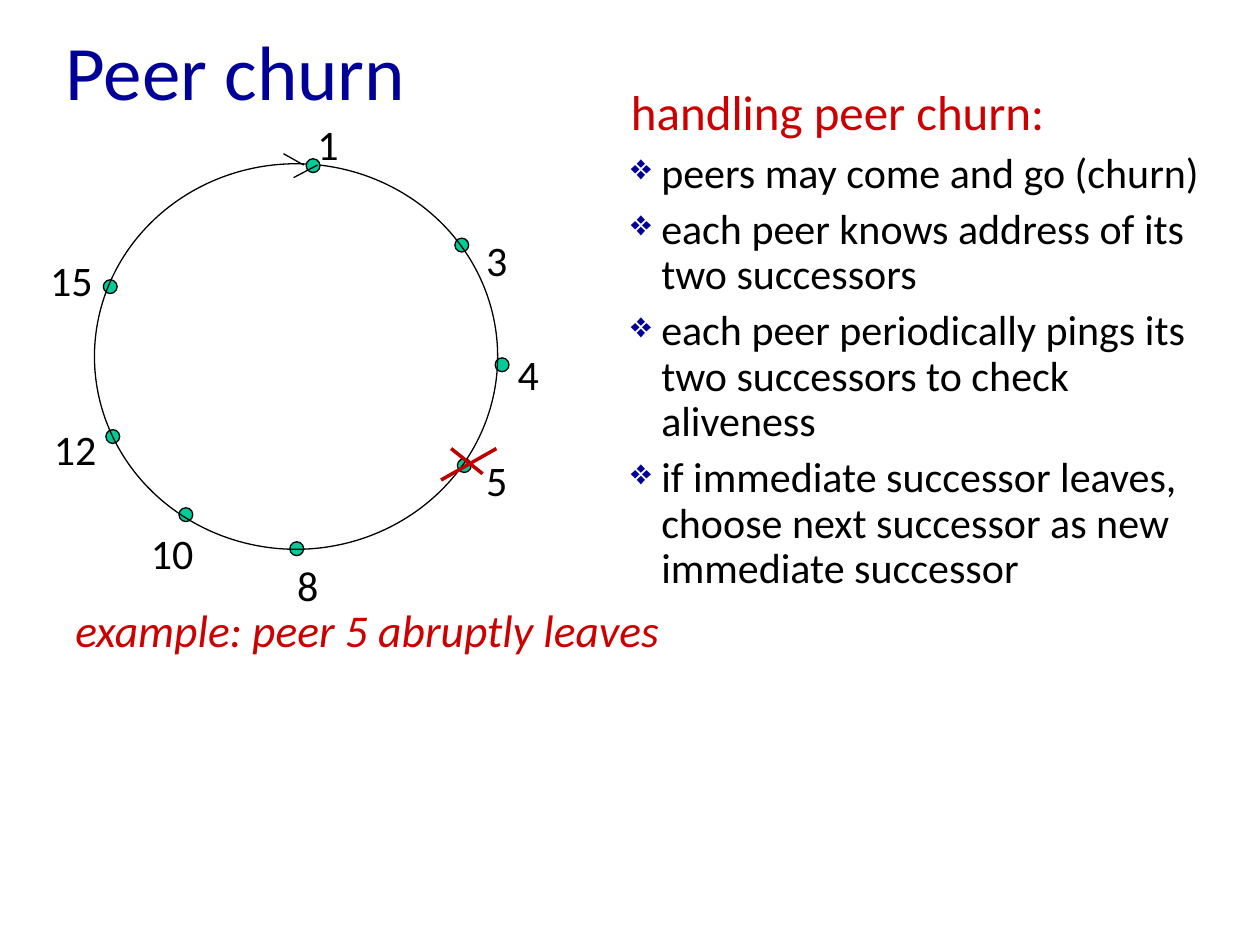
from lxml.etree import SubElement
from pptx import Presentation
from pptx.dml.color import RGBColor
from pptx.enum.shapes import MSO_CONNECTOR, MSO_SHAPE
from pptx.enum.text import MSO_ANCHOR, MSO_AUTO_SIZE, PP_ALIGN
from pptx.oxml.ns import qn
from pptx.util import Inches, Pt

rgb = RGBColor.from_string
NAVY, RED, CROSS_RED, GREEN, BLACK = "000099", "CC0000", "C00000", "00CC99", "000000"


def add_styled_run(paragraph, text, size, color, italic=False):
    run = paragraph.add_run()
    run.text = text
    run.font.name = "Calibri"
    run.font.size = Pt(size)
    run.font.italic = italic
    run.font.color.rgb = rgb(color)


def add_oval(left, top, width, height, fill=None):
    oval = slide.shapes.add_shape(
        MSO_SHAPE.OVAL, Inches(left), Inches(top), Inches(width), Inches(height))
    oval.shadow.inherit = False
    if fill:
        oval.fill.solid()
        oval.fill.fore_color.rgb = rgb(fill)
    else:
        oval.fill.background()
    oval.line.color.rgb = rgb(BLACK)
    oval.line.width = Pt(0.75)


prs = Presentation()
prs.slide_width, prs.slide_height = Inches(10), Inches(7.5)
slide = prs.slides.add_slide(prs.slide_layouts[5])

title = slide.shapes.title
title.left, title.top = Inches(0.42), Inches(0)
title.width, title.height = Inches(9), Inches(1.11)
title.text_frame.vertical_anchor = MSO_ANCHOR.MIDDLE
heading = title.text_frame.paragraphs[0]
heading.alignment = PP_ALIGN.LEFT
add_styled_run(heading, "Peer churn", 44, NAVY)

example = slide.shapes.add_textbox(Inches(0.5), Inches(4.78), Inches(9), Inches(2.33))
example.text_frame.word_wrap = True
caption = example.text_frame.paragraphs[0]
caption.line_spacing = 0.9
caption.space_before = Pt(6.5)
add_styled_run(caption, "example: peer 5 abruptly leaves", 26, RED, italic=True)

# Peer number: node left and top, label left and top
peers = {
    "3": (3.61, 1.89, 3.76, 1.81),
    "4": (3.93, 2.84, 4.01, 2.72),
    "5": (3.63, 3.64, 3.76, 3.56),
    "8": (2.3, 4.3, 2.26, 4.39),
    "10": (1.42, 4.03, 1.1, 4.14),
    "12": (0.84, 3.41, 0.33, 3.31),
    "15": (0.82, 2.22, 0.3, 1.97),
    "1": (2.43, 1.26, 2.42, 0.89),
}
for number, (node_left, node_top, label_left, label_top) in peers.items():
    if number == "1":  # the first peer sits on top of the ring
        add_oval(0.75, 1.3, 3.2, 3.06)
    add_oval(node_left, node_top, 0.11, 0.11, GREEN)
    label = slide.shapes.add_textbox(
        Inches(label_left), Inches(label_top),
        Inches(0.2 + 0.17 * len(number)), Inches(0.5))
    label.text_frame.word_wrap = False
    label.text_frame.auto_size = MSO_AUTO_SIZE.SHAPE_TO_FIT_TEXT
    label.text_frame.paragraphs[0].space_before = Pt(6)
    add_styled_run(label.text_frame.paragraphs[0], number, 24, BLACK)

# Direction arrowhead at peer 1, then the cross over peer 5
strokes = [
    (2.25, 1.22, 2.41, 1.31, BLACK, 0.75),
    (2.52, 1.31, 2.33, 1.41, BLACK, 0.75),
    (3.58, 3.56, 3.83, 3.76, CROSS_RED, 2),
    (3.94, 3.56, 3.5, 3.81, CROSS_RED, 2),
]
for x1, y1, x2, y2, color, weight in strokes:
    stroke = slide.shapes.add_connector(
        MSO_CONNECTOR.STRAIGHT, Inches(x1), Inches(y1), Inches(x2), Inches(y2))
    stroke.line.color.rgb = rgb(color)
    stroke.line.width = Pt(weight)
    SubElement(stroke._element.spPr, qn("a:effectLst"))

handling = slide.shapes.add_textbox(Inches(4.91), Inches(0.6), Inches(4.84), Inches(5.72))
handling.text_frame.word_wrap = True
handling_title = handling.text_frame.paragraphs[0]
handling_title.space_before = Pt(7)
add_styled_run(handling_title, "handling peer churn:", 28, RED)

rules = [
    ["peers may come and go (churn)"],
    ["each peer knows address of its two successors"],
    ["each peer periodically pings its ", "two successors to check aliveness"],
    ["if immediate successor leaves, choose next successor as new immediate successor"],
]
for lines in rules:
    rule = handling.text_frame.add_paragraph()
    rule.line_spacing = Pt(26)
    rule.space_before = Pt(6)
    props = rule._p.get_or_add_pPr()
    props.set("marL", str(Inches(0.24)))
    props.set("indent", str(-Inches(0.24)))
    bullet_color = SubElement(props, qn("a:buClr"))
    SubElement(bullet_color, qn("a:srgbClr"), val=NAVY)
    SubElement(props, qn("a:buSzPct"), val="85000")
    SubElement(props, qn("a:buChar"), char="❖")
    for index, line in enumerate(lines):
        if index:
            rule.add_line_break()
        add_styled_run(rule, line, 24, BLACK)

prs.save("out.pptx")
